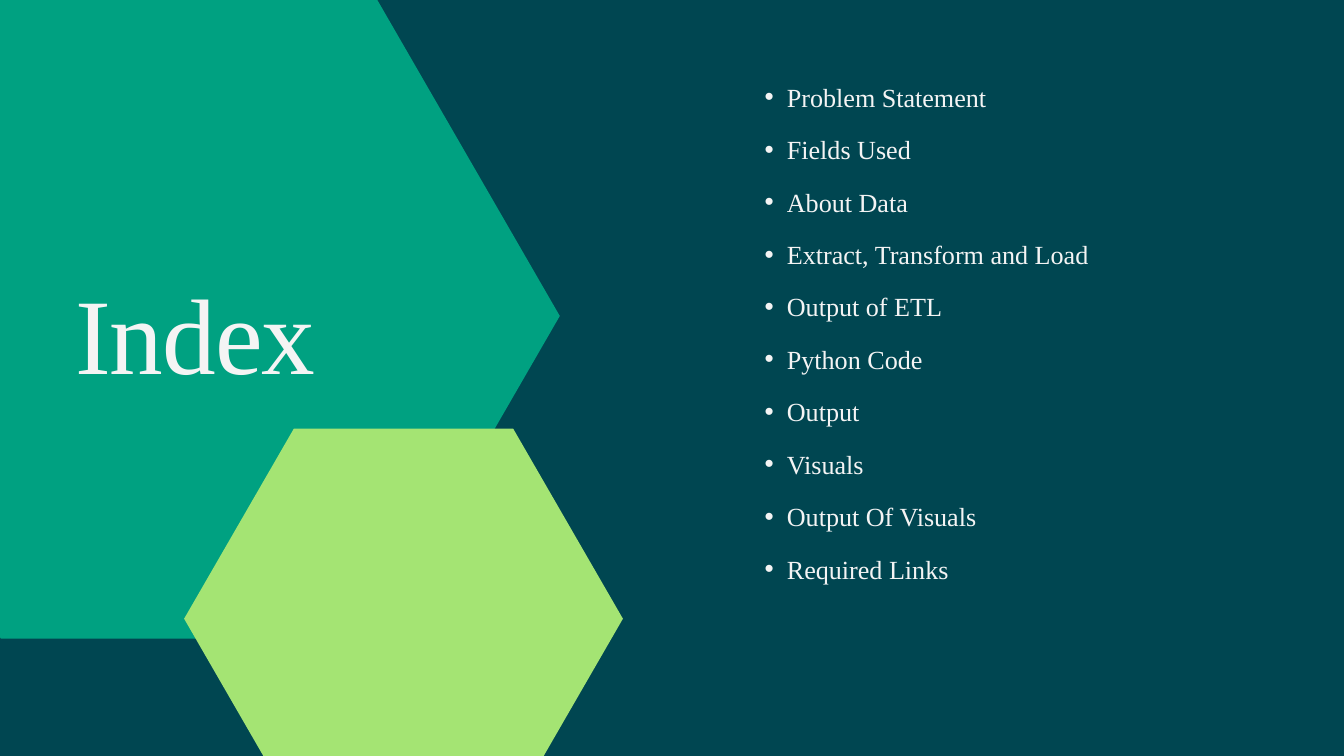
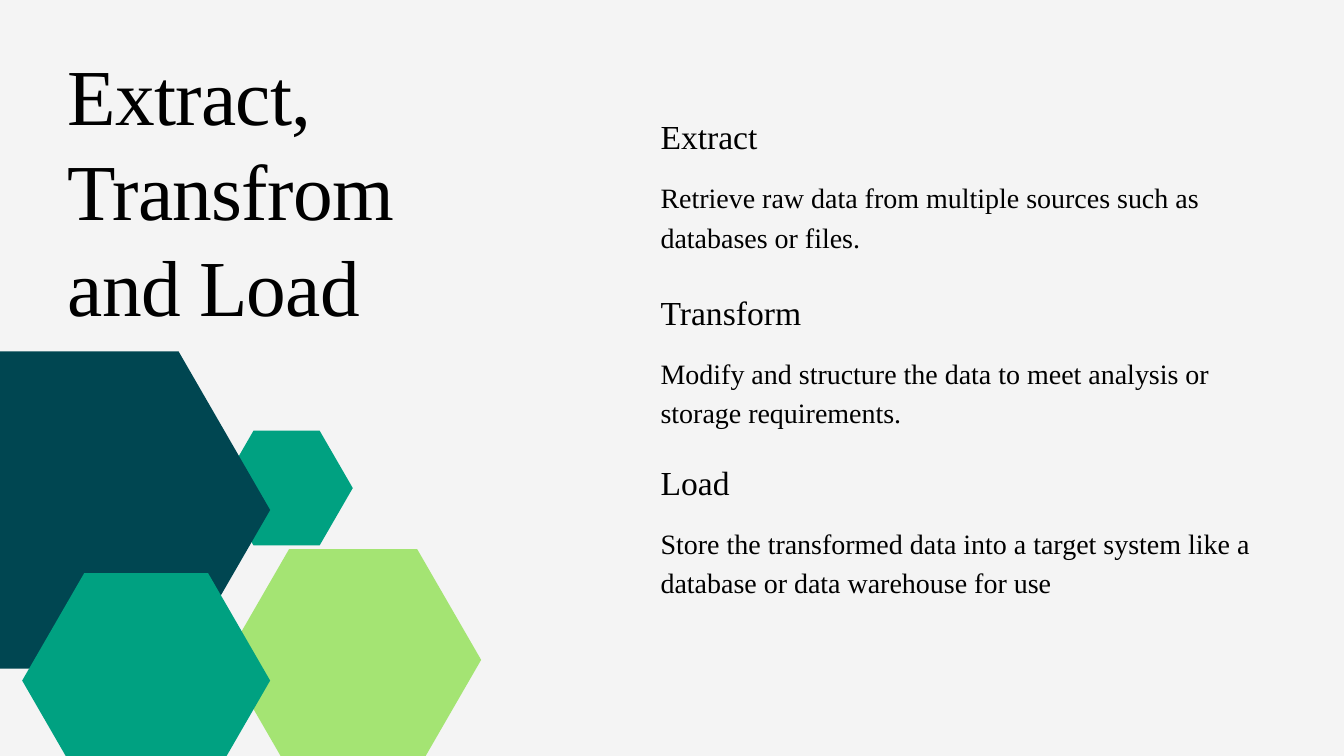
import math

import pptx
import pptx.util
from lxml import etree
from pptx.dml.color import RGBColor
from pptx.enum.shapes import MSO_SHAPE
from pptx.enum.text import MSO_ANCHOR, MSO_AUTO_SIZE, PP_ALIGN
from pptx.oxml.ns import qn
from pptx.util import Inches

NAVY = RGBColor(0x00, 0x46, 0x51)
TEAL = RGBColor(0x00, 0xA1, 0x81)
LIME = RGBColor(0xA4, 0xE4, 0x73)
PALE = RGBColor(0xF4, 0xF4, 0xF4)
BLACK = RGBColor(0x00, 0x00, 0x00)
FONT = "Times New Roman"
HEXAGON_RATIO = math.sqrt(3) / 2

TOPICS = [
    "Problem Statement",
    "Fields Used",
    "About Data",
    "Extract, Transform and Load",
    "Output of ETL",
    "Python Code",
    "Output",
    "Visuals",
    "Output Of Visuals",
    "Required Links",
]
TOPIC_TOP, TOPIC_PITCH = 1.13, 0.78

STAGES = [
    (1.73, 1.97, "Extract",
     "Retrieve raw data from multiple sources such as databases or files."),
    (4.34, 1.18, "Transform",
     "Modify and structure the data to meet analysis or storage requirements."),
    (6.87, 1.18, "Load",
     "Store the transformed data into a target system like a database or data warehouse for use"),
]


def write_text(frame, text, size, line, color=BLACK, tracking=0, bullet=False):
    frame.word_wrap = True
    frame.auto_size = MSO_AUTO_SIZE.NONE
    frame.vertical_anchor = MSO_ANCHOR.TOP
    frame.margin_left = frame.margin_right = frame.margin_top = frame.margin_bottom = 0
    paragraph = frame.paragraphs[0]
    paragraph.alignment = PP_ALIGN.LEFT
    paragraph.line_spacing = pptx.util.Pt(line)
    paragraph.space_before = pptx.util.Pt(0)
    run = paragraph.add_run()
    run.text = text
    run.font.name = FONT
    run.font.size = pptx.util.Pt(size)
    run.font.color.rgb = color
    if tracking:
        run.font._element.set("spc", str(round(tracking * 100)))
    if bullet:
        paragraph.level = 1
        properties = paragraph._p.get_or_add_pPr()
        properties.set("marL", str(Inches(0.66)))
        properties.set("indent", str(Inches(-0.33)))
        etree.SubElement(properties, qn("a:buFont")).set("typeface", "Arial")
        etree.SubElement(properties, qn("a:buChar")).set("char", "•")


def add_text(slide, text, left, top, width, height, **text_format):
    box = slide.shapes.add_textbox(Inches(left), Inches(top), Inches(width), Inches(height))
    write_text(box.text_frame, text, **text_format)


def add_hexagon(slide, left, top, width, color):
    hexagon = slide.shapes.add_shape(
        MSO_SHAPE.HEXAGON, Inches(left), Inches(top),
        Inches(width), Inches(width * HEXAGON_RATIO))
    hexagon.adjustments[0] = 0.25 / HEXAGON_RATIO
    hexagon.shadow.inherit = False
    hexagon.fill.solid()
    hexagon.fill.fore_color.rgb = color
    hexagon.line.fill.background()


def place_title(slide, text, left, top, width, height, **text_format):
    title = slide.shapes.title
    title.left, title.top = Inches(left), Inches(top)
    title.width, title.height = Inches(width), Inches(height)
    write_text(title.text_frame, text, **text_format)
    title.element.getparent().append(title.element)


def add_slide(deck, background, hexagons):
    slide = deck.slides.add_slide(deck.slide_layouts.get_by_name("Title Only"))
    slide.background.fill.solid()
    slide.background.fill.fore_color.rgb = background
    for hexagon in hexagons:
        add_hexagon(slide, *hexagon)
    return slide


def build_index(deck):
    slide = add_slide(deck, NAVY, [
        (-2.76, -0.1, 11.09, TEAL),
        (2.74, 6.38, 6.53, LIME),
    ])
    place_title(slide, "Index", 1.12, 3.97, 4.88, 2.16,
                size=115, line=138, color=PALE, tracking=-1.1)
    for position, topic in enumerate(TOPICS):
        add_text(slide, topic, 11.05, TOPIC_TOP + position * TOPIC_PITCH, 6.68, 0.59,
                 size=28, line=39.2, color=PALE, bullet=True)


def build_stages(deck):
    slide = add_slide(deck, PALE, [
        (3.28, 6.41, 1.97, TEAL),
        (-1.43, 5.23, 5.45, NAVY),
        (3.35, 8.17, 3.81, LIME),
        (0.33, 8.53, 3.69, TEAL),
    ])
    place_title(slide, "Extract, Transfrom and Load", 1.01, 0.69, 6.03, 4.43,
                size=85, line=102, tracking=-0.8)
    for top, detail_height, stage, detail in STAGES:
        add_text(slide, stage, 9.83, top, 9.05, 0.66, size=36, line=43.2)
        add_text(slide, detail, 9.83, top + 0.88, 9.05, detail_height, size=30, line=42)


def main():
    deck = pptx.Presentation()
    deck.slide_width, deck.slide_height = Inches(20), Inches(11.25)
    build_index(deck)
    build_stages(deck)
    deck.save("out.pptx")


if __name__ == "__main__":
    main()
